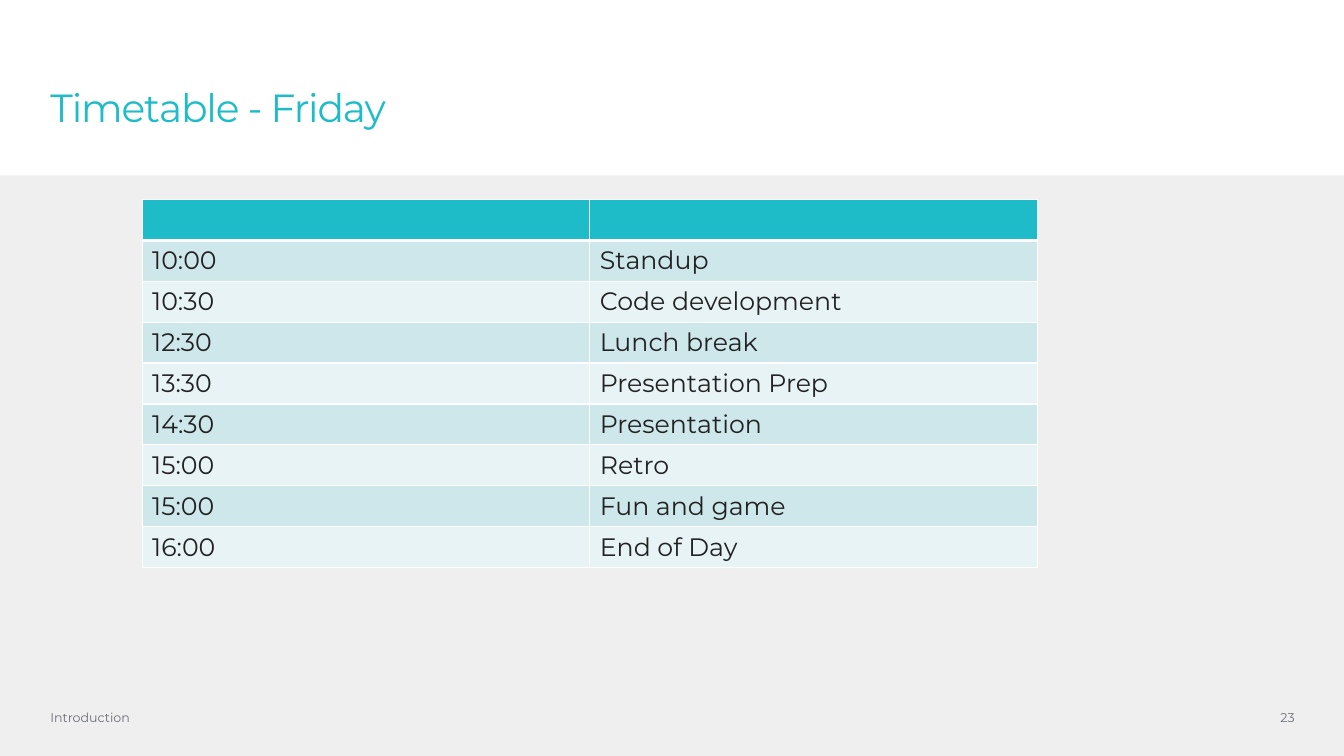
from dataclasses import dataclass

from lxml.etree import SubElement
from pptx import Presentation
from pptx.dml.color import RGBColor
from pptx.enum.shapes import MSO_SHAPE as Shape
from pptx.enum.text import MSO_ANCHOR as Anchor, PP_ALIGN as Align
from pptx.oxml.ns import qn
from pptx.util import Inches, Pt


@dataclass(frozen=True)
class Theme:
    """Colours, font and type sizes of the slide."""
    font: str = "Montserrat"
    accent: str = "1EBCC8"
    panel: str = "EFEFEF"
    bands: tuple = ("CDE7EB", "E8F3F5")
    border: str = "FFFFFF"
    ink: str = "222222"
    muted: str = "6D6F78"
    title_size: int = 28
    table_size: int = 18
    footer_size: int = 9


THEME = Theme()
TIMETABLE = (
    ("10:00", "Standup"),
    ("10:30", "Code development"),
    ("12:30", "Lunch break"),
    ("13:30", "Presentation Prep"),
    ("14:30", "Presentation"),
    ("15:00", "Retro"),
    ("15:00", "Fun and game"),
    ("16:00", "End of Day"),
)


def apply(target, values):
    """Set each attribute named in a dict of format values."""
    for name, value in values.items():
        setattr(target, name, value)


def paint(fill, colour):
    """Give a fill one solid colour."""
    fill.solid()
    fill.fore_color.rgb = RGBColor.from_string(colour)


def write(frame, text, size, colour, **para_format):
    """Write one formatted paragraph and return its run."""
    para = frame.paragraphs[0]
    apply(para, para_format)
    span = para.add_run()
    span.text = text
    apply(span.font, {"name": THEME.font, "size": Pt(size)})
    span.font.color.rgb = RGBColor.from_string(colour)
    return span


def clear_margins(frame, anchor):
    """Make a text frame wrap, without insets."""
    apply(frame, {"margin_left": 0, "margin_right": 0, "margin_top": 0,
                  "margin_bottom": 0, "word_wrap": True,
                  "vertical_anchor": anchor})


def add_panel(page):
    """Draw the grey area below the title band."""
    panel = page.shapes.add_shape(
        Shape.RECTANGLE, 0, Inches(1.74), Inches(13.33), Inches(5.76))
    panel.shadow.inherit = False
    paint(panel.fill, THEME.panel)
    panel.line.fill.background()


def set_title(page, text):
    """Place and format the title placeholder."""
    title = page.shapes.title
    apply(title, {"left": Inches(0.5), "top": Inches(0.88),
                  "width": Inches(11.54), "height": Inches(1.24)})
    clear_margins(title.text_frame, Anchor.TOP)
    span = write(title.text_frame, text, THEME.title_size, THEME.accent,
                 alignment=Align.LEFT, line_spacing=0.9)
    span.font._element.set("spc", "-80")


def add_footer(page, text, left, width, alignment):
    """Add a small text on the footer line."""
    box = page.shapes.add_textbox(
        Inches(left), Inches(6.99), Inches(width), Inches(0.25))
    clear_margins(box.text_frame, Anchor.MIDDLE)
    write(box.text_frame, text, THEME.footer_size, THEME.muted,
          alignment=alignment)


def set_borders(cell, **widths):
    """Draw the cell borders, one point wide unless a side is given."""
    props = cell._tc.get_or_add_tcPr()
    for side in "LRTB":
        line = SubElement(props, qn(f"a:ln{side}"), w=str(Pt(widths.get(side, 1))))
        fill = SubElement(line, qn("a:solidFill"))
        SubElement(fill, qn("a:srgbClr"), val=THEME.border)


def add_timetable(page, entries):
    """Add the table: an empty header row above banded entries."""
    row_count = len(entries) + 1
    table = page.shapes.add_table(
        row_count, 2, Inches(1.41), Inches(1.98),
        Inches(8.88), Inches(3.65)).table
    for row in table.rows:
        row.height = Inches(3.65 / row_count)
    for cell in table.rows[0].cells:
        set_borders(cell, B=3)
        paint(cell.fill, THEME.accent)
    for index, entry in enumerate(entries):
        for cell, text in zip(table.rows[index + 1].cells, entry):
            set_borders(cell, T=1 if index else 3)
            paint(cell.fill, THEME.bands[index % 2])
            cell.vertical_anchor = Anchor.MIDDLE
            write(cell.text_frame, text, THEME.table_size, THEME.ink)


def main():
    """Build and save the slide."""
    deck = Presentation()
    apply(deck, {"slide_width": Inches(13.33), "slide_height": Inches(7.5)})
    page = deck.slides.add_slide(deck.slide_layouts.get_by_name("Title Only"))
    add_panel(page)
    set_title(page, "Timetable - Friday")
    add_footer(page, "Introduction", 0.5, 9.11, Align.LEFT)
    add_footer(page, "23", 12.04, 0.8, Align.RIGHT)
    add_timetable(page, TIMETABLE)
    deck.save("out.pptx")


if __name__ == "__main__":
    main()
